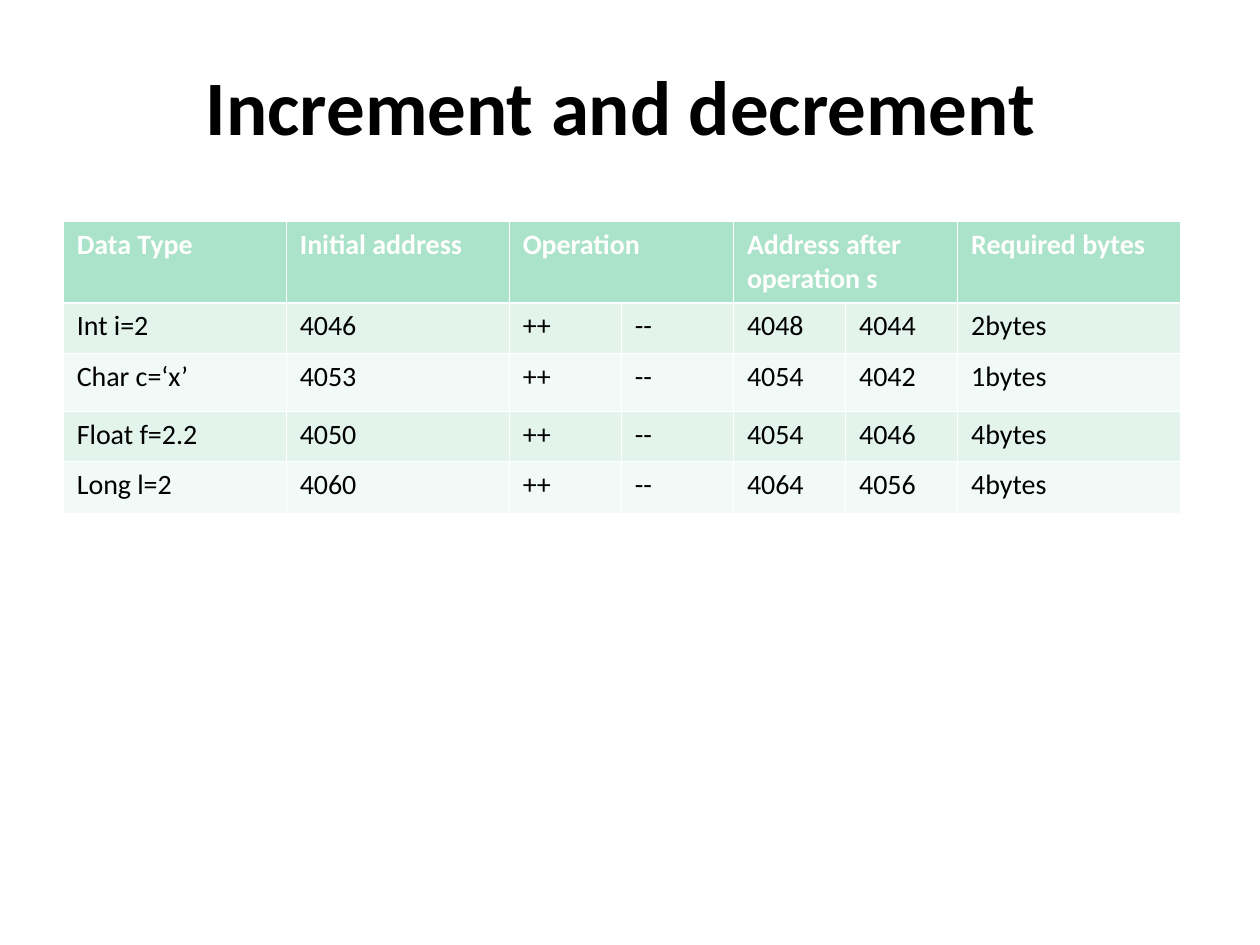
from lxml import etree
from pptx import Presentation
from pptx.dml.color import RGBColor
from pptx.enum.text import MSO_ANCHOR, PP_ALIGN
from pptx.oxml.ns import qn
from pptx.util import Inches, Pt

CENTER = PP_ALIGN.CENTER
LEFT = PP_ALIGN.LEFT
MIDDLE = MSO_ANCHOR.MIDDLE
TITLE_ONLY = 5

WHITE, BLACK = "FFFFFF", "000000"
HEADER_FILL = "AAE2CA"
BAND_FILLS = ("F1FAF6", "E2F4EC")
THIN, THICK = 0.45, 1.47

COLUMN_WIDTHS = [1.77, 1.77] + [0.89] * 4 + [1.77]
ROW_HEIGHTS = [0.63, 0.4, 0.46, 0.4, 0.41]
HEADER = ["Data Type", "Initial address", "Operation", None,
          "Address after operation s", None, "Required bytes"]
ROWS = [
    ["Int i=2", "4046", "++", "--", "4048", "4044", "2bytes"],
    ["Char c=‘x’", "4053", "++", "--", "4054", "4042", "1bytes"],
    ["Float f=2.2", "4050", "++", "--", "4054", "4046", "4bytes"],
    ["Long l=2", "4060", "++", "--", "4064", "4056", "4bytes"],
]


def rgb(value):
    return RGBColor.from_string(value)


class SlideBuilder:
    font = "Calibri"

    def __init__(self, slide):
        self.slide = slide

    def format_paragraph(self, p, size, color, bold, align):
        p.alignment = align
        p.font.name = self.font
        p.font.size = Pt(size)
        p.font.bold = bold
        p.font.color.rgb = rgb(color)

    def title(self, text, left, top, width, height):
        sp = self.slide.shapes.title
        sp.left, sp.top = Inches(left), Inches(top)
        sp.width, sp.height = Inches(width), Inches(height)
        tf = sp.text_frame
        tf.text = text
        tf.word_wrap = True
        tf.vertical_anchor = MIDDLE
        p = tf.paragraphs[0]
        p.line_spacing = 0.97
        self.format_paragraph(p, 44, BLACK, True, CENTER)

    def border(self, cell, side, width):
        tc_pr = cell._tc.get_or_add_tcPr()
        ln = etree.SubElement(tc_pr, qn(f"a:ln{side}"), w=str(int(Pt(width))))
        fill = etree.SubElement(ln, qn("a:solidFill"))
        etree.SubElement(fill, qn("a:srgbClr"), val=WHITE)

    def cell(self, cell, text, row):
        is_header = row == 0
        cell.margin_left = cell.margin_right = Inches(0.11)
        cell.margin_top = cell.margin_bottom = Inches(0.05)
        self.border(cell, "L", THIN)
        self.border(cell, "R", THIN)
        self.border(cell, "T", THICK if row == 1 else THIN)
        self.border(cell, "B", THICK if is_header else THIN)
        cell.fill.solid()
        cell.fill.fore_color.rgb = rgb(HEADER_FILL if is_header else BAND_FILLS[row % 2])
        if text is not None:
            cell.text = text
            color = WHITE if is_header else BLACK
            self.format_paragraph(cell.text_frame.paragraphs[0], 16, color, is_header, LEFT)

    def table(self, rows, left, top, widths, heights):
        frame = self.slide.shapes.add_table(
            len(rows), len(widths), Inches(left), Inches(top),
            Inches(sum(widths)), Inches(sum(heights)))
        table = frame.table
        for column, width in zip(table.columns, widths):
            column.width = Inches(width)
        for r, (values, height) in enumerate(zip(rows, heights)):
            table.rows[r].height = Inches(height)
            for c, text in enumerate(values):
                self.cell(table.cell(r, c), text, r)
                if text is None:
                    table.cell(r, c - 1).merge(table.cell(r, c))


def main():
    prs = Presentation()
    prs.slide_width, prs.slide_height = Inches(10), Inches(7.5)
    s = prs.slides.add_slide(prs.slide_layouts[TITLE_ONLY])
    builder = SlideBuilder(s)
    builder.title("Increment and decrement", 0.5, 0.3, 8.86, 1.12)
    builder.table([HEADER] + ROWS, 0.5, 1.76, COLUMN_WIDTHS, ROW_HEIGHTS)
    prs.save("out.pptx")


if __name__ == "__main__":
    main()
